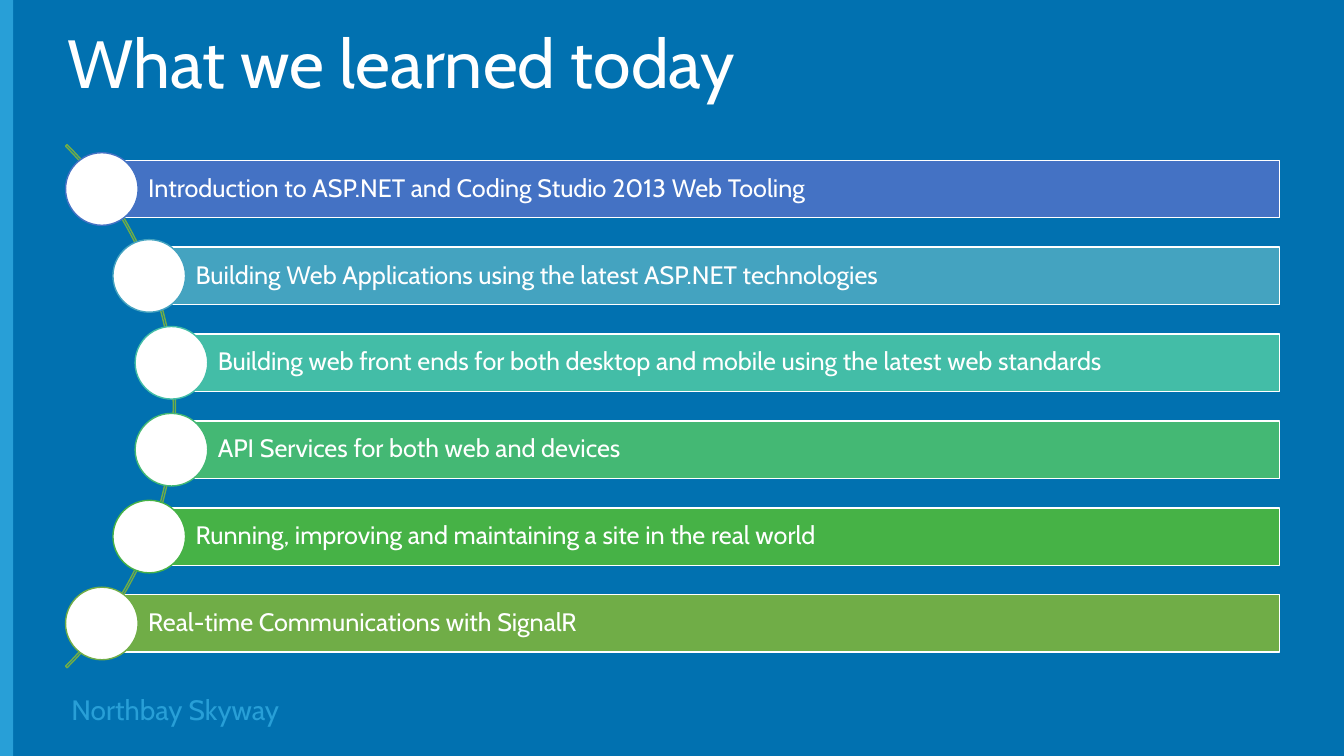
from pptx import Presentation
from pptx.dml.color import RGBColor
from pptx.enum import shapes, text
from pptx.util import Inches, Pt

WHITE = RGBColor(0xFF, 0xFF, 0xFF)
DEEP_BLUE = RGBColor(0x01, 0x71, 0xB0)
SKY_BLUE = RGBColor(0x28, 0x9F, 0xD7)
INDIGO = RGBColor(0x44, 0x72, 0xC4)
STEEL = RGBColor(0x44, 0xA3, 0xC0)
TEAL = RGBColor(0x43, 0xBD, 0xA7)
JADE = RGBColor(0x44, 0xB8, 0x74)
GREEN = RGBColor(0x46, 0xB2, 0x46)
OLIVE = RGBColor(0x70, 0xAD, 0x47)

FONT = "Cabin"
BAR_RIGHT = 12.69
BAR_HEIGHT = 0.57
FIRST_TOP = 1.59
LAST_TOP = 5.9
CIRCLE_SIZE = 0.72

TOPICS = [
    (1.01, INDIGO, "Introduction to ASP.NET and Coding Studio 2013 Web Tooling"),
    (1.48, STEEL, "Building Web Applications using the latest ASP.NET technologies"),
    (1.7, TEAL, "Building web front ends for both desktop and mobile using the latest web standards"),
    (1.7, JADE, "API Services for both web and devices"),
    (1.48, GREEN, "Running, improving and maintaining a site in the real world"),
    (1.01, OLIVE, "Real-time Communications with SignalR"),
]


def write(box, words, size, color, spacing=0.9):
    """Put one left-aligned, vertically centred line of text in a box."""
    frame = box.text_frame
    frame.text = words
    frame.word_wrap = True
    frame.vertical_anchor = text.MSO_ANCHOR.MIDDLE
    para = frame.paragraphs[0]
    para.alignment = text.PP_ALIGN.LEFT
    para.line_spacing = spacing
    font = para.runs[0].font
    font.name = FONT
    font.size = Pt(size)
    font.color.rgb = color


def add_label(page, left, top, width, height, words, size, color, spacing):
    """Add a text box holding one line."""
    box = page.shapes.add_textbox(Inches(left), Inches(top), Inches(width), Inches(height))
    write(box, words, size, color, spacing)


def add_figure(page, kind, left, top, width, height, fill=None, line=None):
    """Add a flat preset shape with optional fill and outline."""
    figure = page.shapes.add_shape(kind, Inches(left), Inches(top), Inches(width), Inches(height))
    figure.shadow.inherit = False
    if fill is None:
        figure.fill.background()
    else:
        figure.fill.solid()
        figure.fill.fore_color.rgb = fill
    if line is None:
        figure.line.fill.background()
    else:
        figure.line.color.rgb = line
        figure.line.width = Pt(1)
    return figure


def add_arc(page):
    """Add the thin arc that runs behind the circles."""
    arc = add_figure(page, shapes.MSO_SHAPE.BLOCK_ARC, -5.6, 0.36, 7.34, 7.34, line=OLIVE)
    for index, value in enumerate((189, 27, 0.003)):
        arc.adjustments[index] = value


def add_topic(page, left, top, color, words):
    """Add a topic bar with a white circle centred on its left edge."""
    bar = add_figure(page, shapes.MSO_SHAPE.RECTANGLE, left, top,
                     BAR_RIGHT - left, BAR_HEIGHT, color, WHITE)
    write(bar, words, 18, WHITE)
    frame = bar.text_frame
    frame.margin_left = Inches(0.46)
    frame.margin_right = frame.margin_top = frame.margin_bottom = Inches(0.05)
    add_figure(page, shapes.MSO_SHAPE.OVAL, left - CIRCLE_SIZE / 2,
               top + (BAR_HEIGHT - CIRCLE_SIZE) / 2, CIRCLE_SIZE, CIRCLE_SIZE, WHITE, color)


def main():
    """Build the summary slide and save it."""
    deck = Presentation()
    deck.slide_width = Inches(13.33)
    deck.slide_height = Inches(7.5)
    page = deck.slides.add_slide(deck.slide_layouts[6])
    page.background.fill.solid()
    page.background.fill.fore_color.rgb = DEEP_BLUE

    add_label(page, 0.61, 6.84, 3, 0.4, "Northbay Skyway", 20, SKY_BLUE, 1.0)
    add_figure(page, shapes.MSO_SHAPE.RECTANGLE, 0, 0, 0.13, 7.5, SKY_BLUE)
    add_label(page, 0.57, 0.25, 12.19, 0.82, "What we learned today", 48.6, WHITE, 0.9)
    add_arc(page)
    pitch = (LAST_TOP - FIRST_TOP) / (len(TOPICS) - 1)
    for index, (left, color, words) in enumerate(TOPICS):
        add_topic(page, left, FIRST_TOP + index * pitch, color, words)

    deck.save("out.pptx")


if __name__ == "__main__":
    main()
